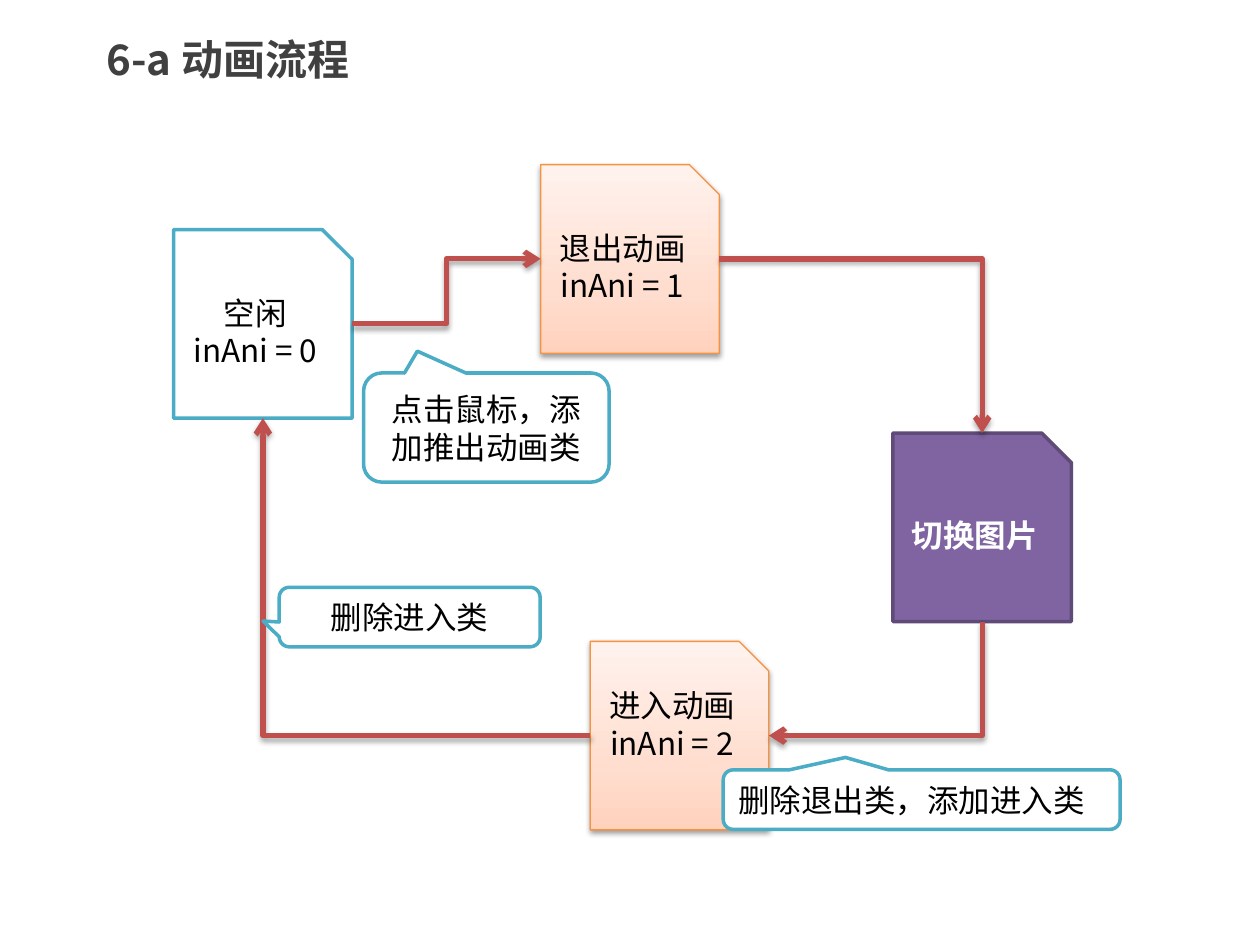
from lxml import etree
from pptx import Presentation
from pptx.dml.color import RGBColor
from pptx.enum.shapes import MSO_CONNECTOR, MSO_SHAPE
from pptx.enum.text import MSO_ANCHOR, PP_ALIGN
from pptx.oxml.ns import qn
from pptx.util import Cm, Pt
from copy import deepcopy

ELBOW = MSO_CONNECTOR.ELBOW
SNIPPED = MSO_SHAPE.SNIP_1_RECTANGLE
CALLOUT = MSO_SHAPE.ROUNDED_RECTANGULAR_CALLOUT
MIDDLE = MSO_ANCHOR.MIDDLE
LEFT, CENTER = PP_ALIGN.LEFT, PP_ALIGN.CENTER
FONT = "Noto Sans CJK SC"
TEAL, ORANGE, PURPLE, RED = "4BACC6", "F69240", "5F4A78", "C0504D"
PEACH = [(0, "FFD2BD"), (0.35, "FFDED0"), (1, "FFF2ED")]


def color(value):
    return RGBColor.from_string(value)


def write(frame, lines, size, ink, bold=False, align=LEFT):
    frame.word_wrap = True
    for index, line in enumerate(lines):
        paragraph = frame.paragraphs[0] if index == 0 else frame.add_paragraph()
        paragraph.text = line
        paragraph.alignment = align
        font = paragraph.font
        font.name, font.size, font.bold = FONT, Pt(size), bold
        font.color.rgb = color(ink)
        # East Asian typeface
        etree.SubElement(font._element, qn("a:ea"), typeface=FONT)


presentation = Presentation()
presentation.slide_width, presentation.slide_height = Cm(25.4), Cm(19.05)
slide = presentation.slides.add_slide(presentation.slide_layouts[6])
shapes = slide.shapes
soft_shadows = []

# Title
title = shapes.add_textbox(Cm(1.9), Cm(0.05), Cm(21.6), Cm(1.63))
write(title.text_frame, ["6-a 动画流程"], 24, "404040", bold=True)
title.text_frame.paragraphs[0].line_spacing = 1.5

# States of the animation: left, top, lines, fill, line, line width, ink, bold
STATE_WIDTH, STATE_HEIGHT = 3.6, 3.8
states = {
    "idle": (3.5, 4.63, ["空闲", "inAni = 0"], "FFFFFF", TEAL, 2, "000000", False),
    "leave": (10.9, 3.32, ["退出动画", "inAni = 1"], PEACH, ORANGE, 0.75, "000000", False),
    "switch": (18, 8.73, ["切换图片"], "8064A2", PURPLE, 2, "FFFFFF", True),
    "enter": (11.9, 12.93, ["进入动画", "inAni = 2"], PEACH, ORANGE, 0.75, "000000", False),
}
sides = {}
for name, (left, top, lines, fill, outline, weight, ink, bold) in states.items():
    state = shapes.add_shape(SNIPPED, Cm(left), Cm(top), Cm(STATE_WIDTH), Cm(STATE_HEIGHT))
    state.shadow.inherit = False
    if fill is PEACH:
        state.fill.gradient()
        state.fill.gradient_angle = 90
        first_stop = state.fill.gradient_stops[0]._gs
        first_stop.addnext(deepcopy(first_stop))
        for stop, (position, shade) in zip(state.fill.gradient_stops, PEACH):
            stop.position = position
            stop.color.rgb = color(shade)
        soft_shadows.append((state, 20000, 38000))
    else:
        state.fill.solid()
        state.fill.fore_color.rgb = color(fill)
    state.line.color.rgb = color(outline)
    state.line.width = Pt(weight)
    state.text_frame.vertical_anchor = MIDDLE
    write(state.text_frame, lines, 18, ink, bold, CENTER)
    if name == "enter":
        state.text_frame.margin_bottom = Cm(0.9)
    center_x, center_y = left + STATE_WIDTH / 2, top + STATE_HEIGHT / 2
    sides[name] = {
        "left": (left, center_y),
        "right": (left + STATE_WIDTH, center_y),
        "top": (center_x, top),
        "bottom": (center_x, top + STATE_HEIGHT),
    }

# Arrows between the states: start, end, preset, rotation in degrees
arrows = [
    (sides["idle"]["right"], sides["leave"]["left"], "bentConnector3", 0),
    (sides["leave"]["right"], sides["switch"]["top"], "bentConnector2", 0),
    (sides["switch"]["bottom"], sides["enter"]["right"], "bentConnector2", 90),
    (sides["enter"]["left"], sides["idle"]["bottom"], "bentConnector2", 180),
]
for start, end, preset, rotation in arrows:
    if rotation:
        # The unrotated frame shares its centre with the drawn one
        middle_x, middle_y = (start[0] + end[0]) / 2, (start[1] + end[1]) / 2
        half_width, half_height = abs(end[0] - start[0]) / 2, abs(end[1] - start[1]) / 2
        if rotation == 90:
            half_width, half_height = half_height, half_width
        start = (middle_x - half_width, middle_y - half_height)
        end = (middle_x + half_width, middle_y + half_height)
    arrow = shapes.add_connector(ELBOW, Cm(start[0]), Cm(start[1]), Cm(end[0]), Cm(end[1]))
    properties = arrow._element.spPr
    properties.find(qn("a:prstGeom")).set("prst", preset)
    properties.find(qn("a:xfrm")).set("rot", str(rotation * 60000))
    arrow.line.color.rgb = color(RED)
    arrow.line.width = Pt(3)
    etree.SubElement(arrow.line._get_or_add_ln(), qn("a:tailEnd"), type="arrow")
    etree.SubElement(properties, qn("a:effectLst"))
    soft_shadows.append((arrow, 23000, 35000))

# Callouts: left, top, width, height, pointer, text, alignment
callouts = [
    (7.33, 7.52, 4.95, 2.2, (-0.281, -0.7), "点击鼠标，添加推出动画类", CENTER),
    (14.58, 15.52, 8, 1.2, (-0.192, -0.709), "删除退出类，添加进入类", LEFT),
    (5.63, 11.84, 5.26, 1.2, (-0.562, 0.067), "删除进入类", CENTER),
]
for left, top, width, height, pointer, text, align in callouts:
    callout = shapes.add_shape(CALLOUT, Cm(left), Cm(top), Cm(width), Cm(height))
    callout.shadow.inherit = False
    callout.adjustments[0], callout.adjustments[1] = pointer
    callout.fill.solid()
    callout.fill.fore_color.rgb = color("FFFFFF")
    callout.line.color.rgb = color(TEAL)
    callout.line.width = Pt(2)
    callout.text_frame.vertical_anchor = MIDDLE
    write(callout.text_frame, [text], 18, "000000", align=align)

# Soft shadows below the peach states and the arrows
for shape, distance, opacity in soft_shadows:
    effects = shape._element.spPr.find(qn("a:effectLst"))
    shadow = etree.SubElement(effects, qn("a:outerShdw"), blurRad="40000",
                              dist=str(distance), dir="5400000", rotWithShape="0")
    black = etree.SubElement(shadow, qn("a:srgbClr"), val="000000")
    etree.SubElement(black, qn("a:alpha"), val=str(opacity))

presentation.save("out.pptx")
